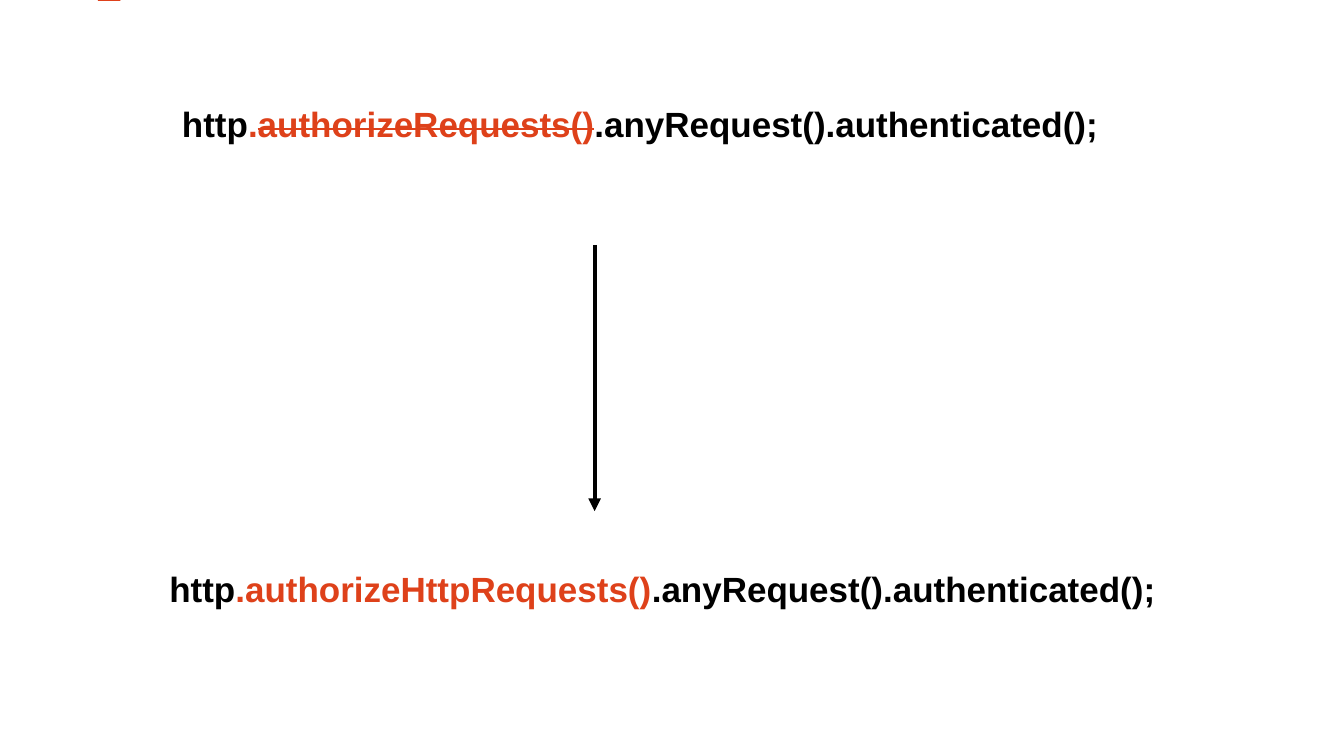
from lxml import etree
from pptx import Presentation
from pptx import util as u
from pptx.dml.color import RGBColor
from pptx.enum import shapes, text
from pptx.oxml.ns import qn

WIDTH, HEIGHT = 26.67, 15
COLOURS = {"ink": "000000", "accent": "DE411A", "bar": "DE411B", "paper": "FFFFFF"}
CODE_SIZE = (19.98, 0.84)


def colour(name):
    return RGBColor.from_string(COLOURS[name])


def add_block(page, box, fill):
    block = page.shapes.add_shape(
        shapes.MSO_SHAPE.RECTANGLE, *(u.Inches(length) for length in box))
    block.shadow.inherit = False
    block.fill.solid()
    block.fill.fore_color.rgb = colour(fill)
    block.line.fill.background()
    return block


def add_backdrop(page):
    """Accent bar at the top edge, mostly covered by the white panel."""
    inset = 0.02
    add_block(page, (1.94, 0, 0.45, 0.05), "bar")
    add_block(page, (inset, inset, WIDTH - inset, HEIGHT - inset), "paper")


def add_code_line(page, left, top, spans):
    """Place one line of code; spans are (words, colour name, struck out)."""
    frame = add_block(page, (left, top, *CODE_SIZE), "paper").text_frame
    frame.margin_left = frame.margin_right = 0
    frame.margin_top = frame.margin_bottom = 0
    frame.vertical_anchor = text.MSO_ANCHOR.MIDDLE
    frame.auto_size = text.MSO_AUTO_SIZE.SHAPE_TO_FIT_TEXT
    frame.word_wrap = True
    para = frame.paragraphs[0]
    para.alignment = text.PP_ALIGN.LEFT
    for words, ink, struck in spans:
        span = para.add_run()
        span.text = words
        span.font.name = "Arial"
        span.font.size = u.Pt(50)
        span.font.bold = True
        span.font.color.rgb = colour(ink)
        if struck:
            span.font._element.set("strike", "sngStrike")


def add_down_arrow(page, x, top, bottom):
    arrow = page.shapes.add_connector(
        shapes.MSO_CONNECTOR.STRAIGHT,
        u.Inches(x), u.Inches(top), u.Inches(x), u.Inches(bottom))
    arrow.line.color.rgb = colour("ink")
    arrow.line.width = u.Pt(6)
    etree.SubElement(arrow.line._get_or_add_ln(), qn("a:tailEnd"), type="triangle")
    etree.SubElement(arrow._element.spPr, qn("a:effectLst"))


def main():
    deck = Presentation()
    deck.slide_width, deck.slide_height = u.Inches(WIDTH), u.Inches(HEIGHT)
    page = deck.slides.add_slide(deck.slide_layouts[6])

    start = ("http", "ink", False)
    ending = (".anyRequest().authenticated();", "ink", False)
    add_backdrop(page)
    add_code_line(page, 3.61, 2.04, [
        start, (".", "accent", False),
        ("authorizeRequests()", "accent", True), ending])
    add_down_arrow(page, 11.8, 4.86, 10.14)
    add_code_line(page, 3.36, 11.25, [
        start, (".authorizeHttpRequests()", "accent", False), ending])
    deck.save("out.pptx")


if __name__ == "__main__":
    main()
